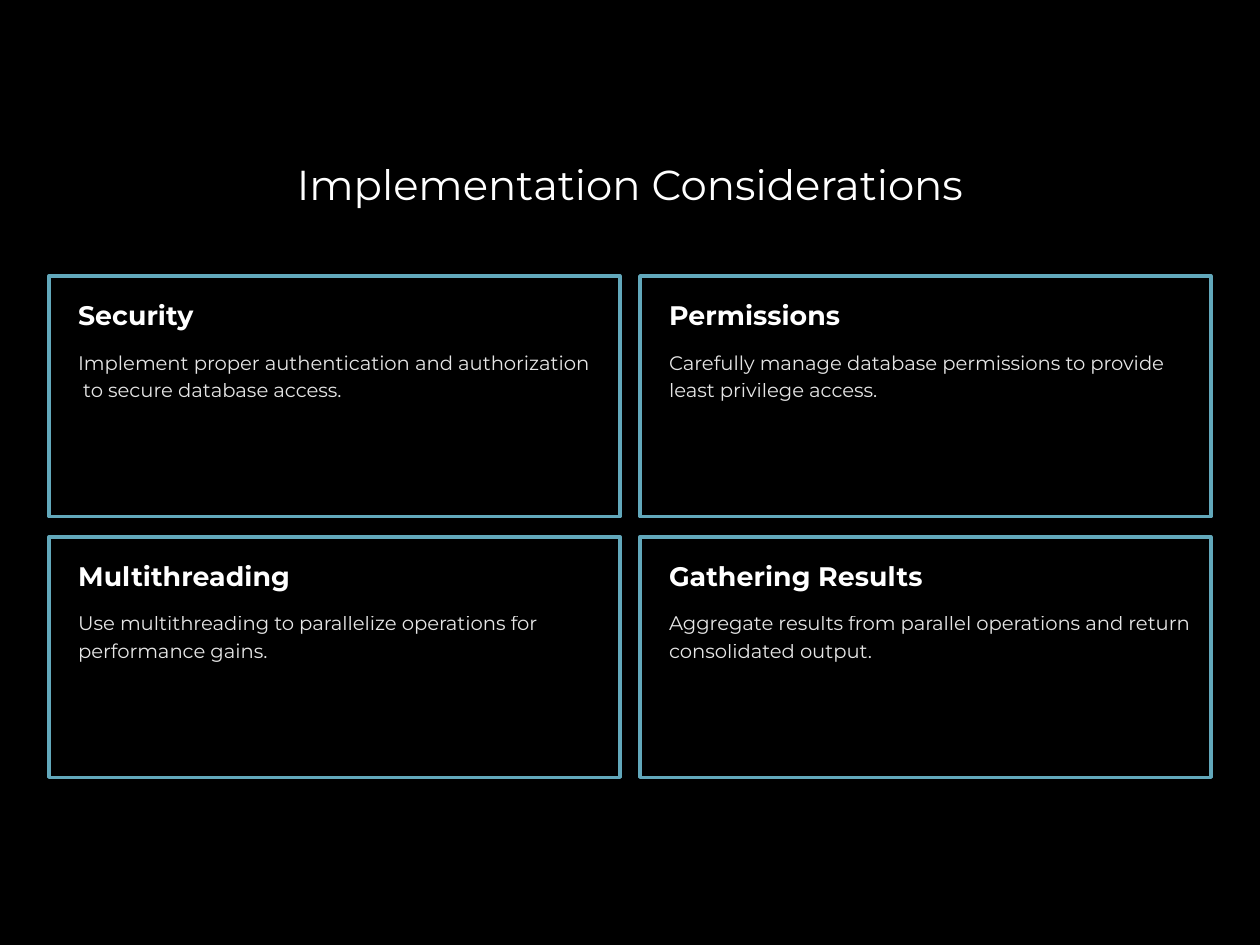
from lxml import etree
from pptx import Presentation
from pptx import util as u
from pptx.dml.color import RGBColor
from pptx.enum import shapes, text
from pptx.oxml.ns import qn

FONT = "Montserrat"
WHITE = "FFFFFF"


def color(value):
    return RGBColor.from_string(value)


def add_text(page, lines, left, top, width, height, size, spacing,
             bold=False, align=text.PP_ALIGN.LEFT, opacity=100):
    box = page.shapes.add_textbox(*map(u.Inches, (left, top, width, height)))
    frame = box.text_frame
    frame.word_wrap = True
    frame.margin_left = frame.margin_right = frame.margin_top = frame.margin_bottom = 0
    para = frame.paragraphs[0]
    para.alignment = align
    para.line_spacing = u.Pt(spacing)
    for number, line in enumerate(lines):
        if number:
            para.add_line_break()
        span = para.add_run()
        span.text = line
        span.font.name = FONT
        span.font.size = u.Pt(size)
        span.font.bold = bold
        span.font.color.rgb = color(WHITE)
        if opacity < 100:
            tint = span.font.fill._xPr.find(qn("a:solidFill"))[0]
            etree.SubElement(tint, qn("a:alpha")).set("val", str(opacity * 1000))


# Page
deck = Presentation()
deck.slide_width, deck.slide_height = u.Inches(10), u.Inches(7.5)
page = deck.slides.add_slide(deck.slide_layouts[6])
page.background.fill.solid()
page.background.fill.fore_color.rgb = color("000000")

# Title
add_text(page, ["Implementation Considerations"], 0, 1.24, 10, 0.42, 23.9, 30.1,
         align=text.PP_ALIGN.CENTER)

# Two by two grid of cards
cards = [
    ("Security", ["Implement proper authentication and authorization",
                  " to secure database access."]),
    ("Permissions", ["Carefully manage database permissions to provide ",
                     "least privilege access."]),
    ("Multithreading", ["Use multithreading to parallelize operations for performance gains."]),
    ("Gathering Results", ["Aggregate results from parallel operations and return "
                           "consolidated output."]),
]
grid_left, grid_top = 0.39, 2.19
card_width, card_height, gap = 4.53, 1.91, 0.16
text_indent, text_width = 0.23, 4.55

for index, (heading, body) in enumerate(cards):
    row, column = divmod(index, 2)
    left = grid_left + column * (card_width + gap)
    top = grid_top + row * (card_height + gap)

    card = page.shapes.add_shape(shapes.MSO_SHAPE.RECTANGLE,
                                 *map(u.Inches, (left, top, card_width, card_height)))
    card.shadow.inherit = False
    card.fill.background()
    card.line.color.rgb = color("62A8BB")
    card.line.width = u.Pt(2)

    add_text(page, [heading], left + text_indent, top + 0.17, text_width, 0.27,
             15.3, 19.3, bold=True)
    add_text(page, body, left + text_indent, top + 0.56, text_width, 0.44,
             11.2, 15.8, opacity=90)

deck.save("out.pptx")
